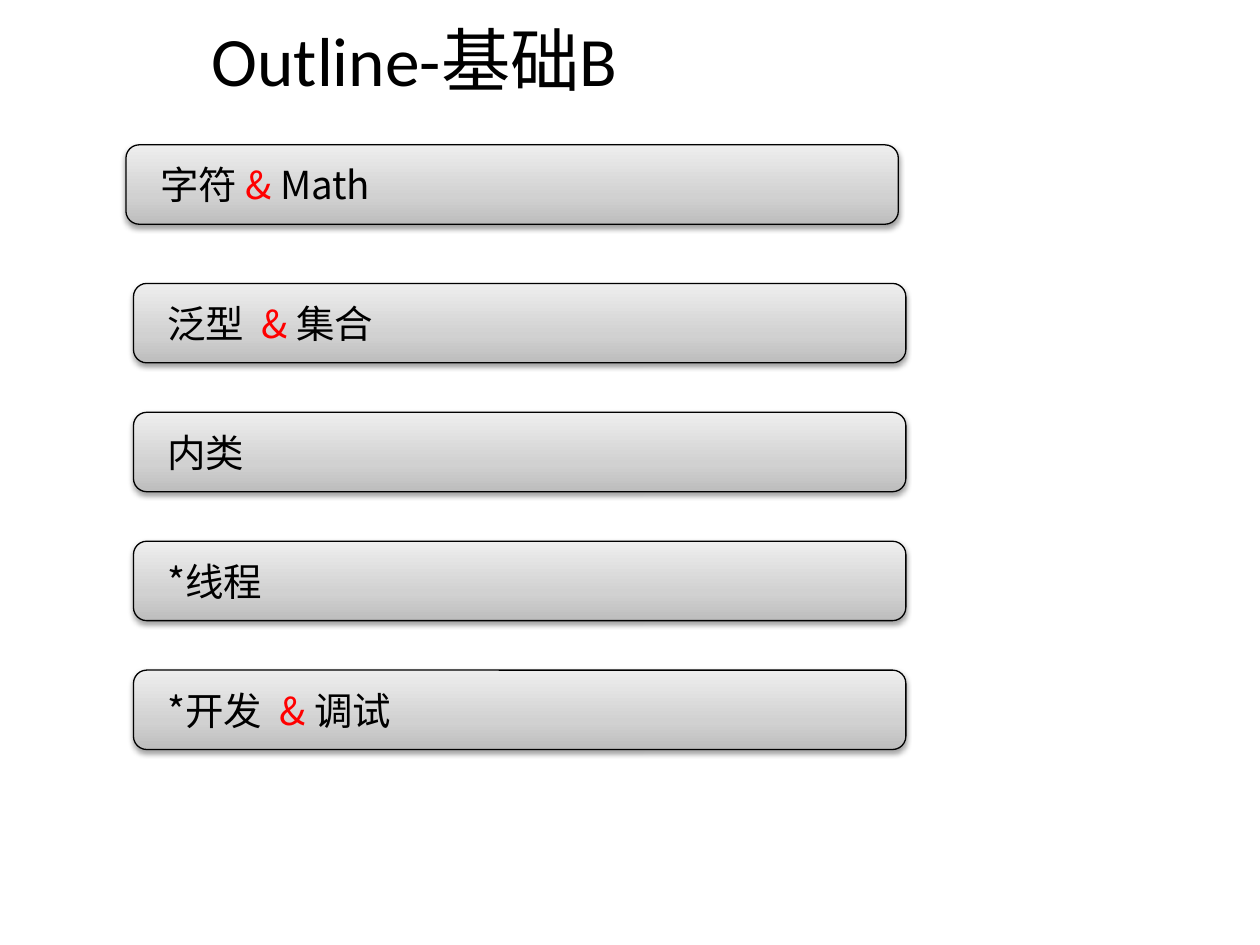
from lxml import etree
from pptx import Presentation
from pptx.dml.color import RGBColor
from pptx.enum.shapes import MSO_SHAPE as SHAPE
from pptx.enum.text import MSO_ANCHOR as ANCHOR, PP_ALIGN as ALIGN
from pptx.oxml import parse_xml
from pptx.oxml.ns import nsdecls, qn
from pptx.util import Inches, Pt

BLACK = RGBColor(0x00, 0x00, 0x00)
RED = RGBColor(0xFF, 0x00, 0x00)
GRAY_STOPS = [
    (0, RGBColor(0xBD, 0xBD, 0xBD)),
    (35, RGBColor(0xD1, 0xD1, 0xD1)),
    (100, RGBColor(0xEE, 0xEE, 0xEE)),
]
TITLE_FONT = "Calibri"
TOPIC_FONT = "Noto Sans CJK SC"
FIRST_TOPIC = ["字符 ", "& ", "Math"]
TOPICS = [
    ["泛型  ", "& ", "集合"],
    ["内类"],
    ["*线程"],
    ["*开发  ", "& ", "调试"],
]
TOPICS_TOP = 2.25
TOPIC_STEP = 1.023


def style_run(r, font, size, color):
    """Set the Latin and East Asian font, size and colour of a run."""
    r.font.name = font
    r.font.size = Pt(size)
    r.font.color.rgb = color
    latin = r.font._element.find(qn("a:latin"))
    ea = etree.Element(qn("a:ea"), typeface=font)
    latin.addnext(ea)


def set_gradient(s):
    """Fill a shape with the gray gradient, darkest at the bottom."""
    s.fill.gradient()
    s.fill.gradient_angle = 90
    stops = s._element.spPr.find(qn("a:gradFill")).find(qn("a:gsLst"))
    for stop in list(stops):
        stops.remove(stop)
    for pos, color in GRAY_STOPS:
        stops.append(parse_xml(
            f'<a:gs {nsdecls("a")} pos="{pos * 1000}"><a:srgbClr val="{color}"/></a:gs>'))


def set_shadow(s):
    """Give a shape a soft shadow just below it."""
    s.shadow.inherit = False
    s._element.spPr.find(qn("a:effectLst")).append(parse_xml(
        f'<a:outerShdw {nsdecls("a")} blurRad="{Pt(3.1)}" dist="{Pt(1.6)}" '
        'dir="5400000" rotWithShape="0"><a:srgbClr val="000000">'
        '<a:alpha val="38000"/></a:srgbClr></a:outerShdw>'))


def add_title(slide, text):
    """Place and format the slide title."""
    sp = slide.shapes.title
    sp.left, sp.top = Inches(0.83), Inches(0.13)
    sp.width, sp.height = Inches(4.92), Inches(0.67)
    tf = sp.text_frame
    tf.text = text
    tf.vertical_anchor = ANCHOR.MIDDLE
    p = tf.paragraphs[0]
    p.alignment = ALIGN.CENTER
    style_run(p.runs[0], TITLE_FONT, 39.6, BLACK)


def add_topic(slide, left, top, parts):
    """Add a rounded topic bar with its ampersand in red."""
    s = slide.shapes.add_shape(
        SHAPE.ROUNDED_RECTANGLE, Inches(left), Inches(top), Inches(6.13), Inches(0.63))
    set_gradient(s)
    s.line.color.rgb = BLACK
    s.line.width = Pt(0.75)
    set_shadow(s)
    tf = s.text_frame
    tf.word_wrap = True
    tf.vertical_anchor = ANCHOR.MIDDLE
    tf.margin_left = Inches(0.24)
    p = tf.paragraphs[0]
    p.alignment = ALIGN.LEFT
    for part in parts:
        r = p.add_run()
        r.text = part
        style_run(r, TOPIC_FONT, 22, RED if "&" in part else BLACK)


def main():
    """Build the outline slide and save it."""
    prs = Presentation()
    prs.slide_width, prs.slide_height = Inches(10), Inches(7.5)
    slide = prs.slides.add_slide(prs.slide_layouts[5])
    add_title(slide, "Outline-基础B")
    add_topic(slide, 1, 1.15, FIRST_TOPIC)
    for i, parts in enumerate(TOPICS):
        add_topic(slide, 1.06, TOPICS_TOP + i * TOPIC_STEP, parts)
    prs.save("out.pptx")


if __name__ == "__main__":
    main()
